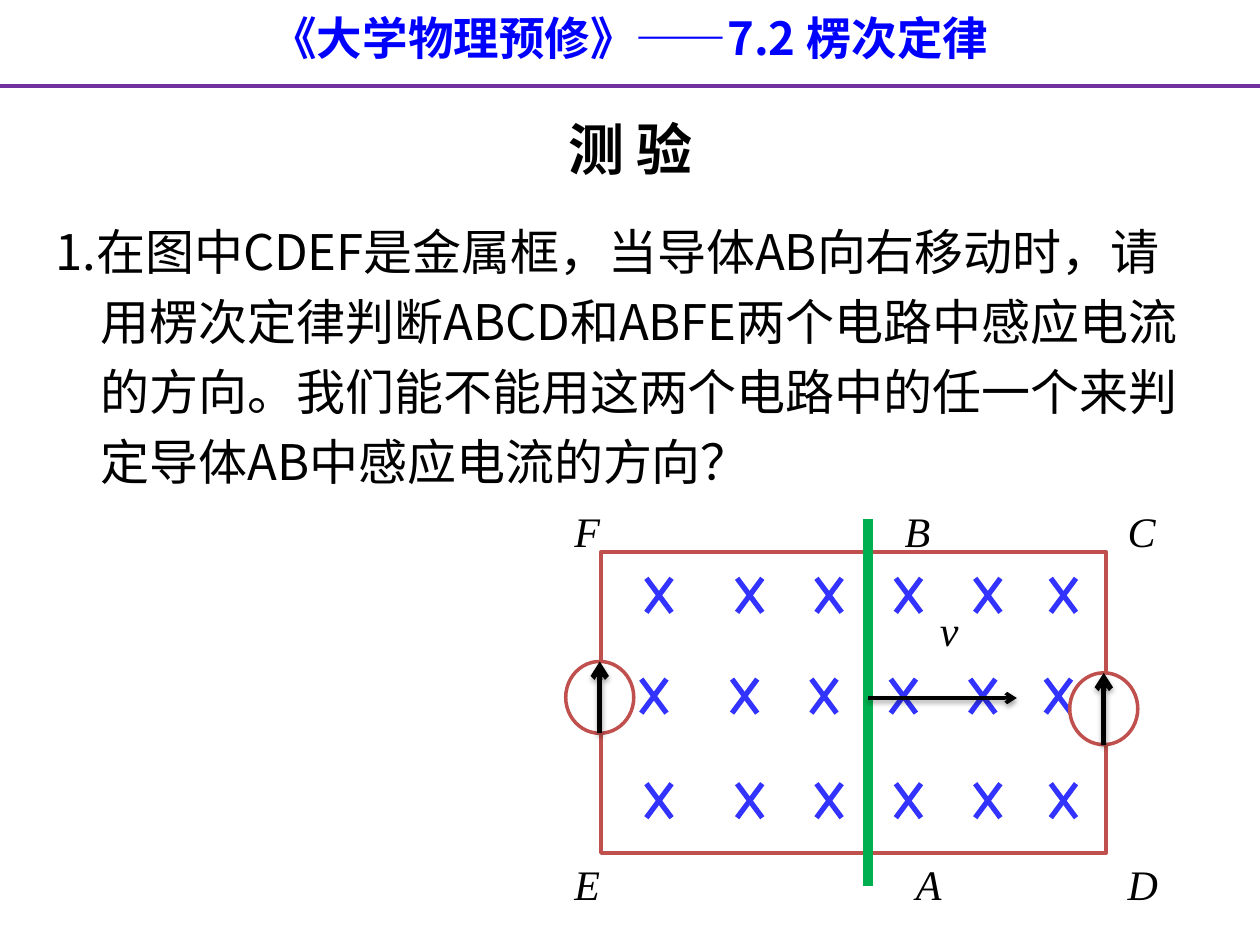
from lxml.etree import SubElement
from pptx import Presentation
from pptx.dml.color import RGBColor
from pptx.enum.shapes import MSO_CONNECTOR, MSO_SHAPE
from pptx.enum.text import MSO_ANCHOR, MSO_AUTO_SIZE, PP_ALIGN
from pptx.oxml.ns import qn
from pptx.util import Inches, Pt

# Content
HEADER = "《大学物理预修》——7.2 楞次定律"
TITLE = "测 验"
QUESTION = (
    "1.在图中CDEF是金属框，当导体AB向右移动时，请用楞次定律判断ABCD和ABFE两个电路中感应电流的方向。"
    "我们能不能用这两个电路中的任一个来判定导体AB中感应电流的方向？"
)
POINT_LABELS = [  # letter, left, top
    ("F", 4.56, 4.01), ("B", 7.18, 4.01), ("C", 8.95, 4.01),
    ("v", 7.46, 4.8),
    ("E", 4.56, 6.81), ("A", 7.27, 6.81), ("D", 8.95, 6.81),
]
CROSS_COLUMNS = [5.13, 5.85, 6.48, 7.11, 7.74, 8.34]
CROSS_ROWS = [(4.59, 0), (5.39, -0.04), (6.22, 0)]  # top, sideways shift
CROSS_WIDTH, CROSS_HEIGHT = 0.2, 0.27
METERS = [(4.49, 5.25), (8.49, 5.34)]
METER_WIDTH, METER_HEIGHT = 0.54, 0.57
BAR_X, VELOCITY_Y = 6.89, 5.54

SANS, SERIF = "Noto Sans CJK SC", "Times New Roman"
BLACK, BLUE, CROSS_BLUE = "000000", "0000FF", "3333FF"
PURPLE, RED, GREEN, WHITE = "7030A0", "C0504D", "00B050", "FFFFFF"

prs = Presentation()
prs.slide_width, prs.slide_height = Inches(10), Inches(7.5)
slide = prs.slides.add_slide(prs.slide_layouts[5])


def color(value):
    return RGBColor.from_string(value)


def place(shape, left, top, width, height):
    shape.left, shape.top = Inches(left), Inches(top)
    shape.width, shape.height = Inches(width), Inches(height)


def write(text, box, holder=None, size=24, font=SANS, fill=BLACK, bold=False,
          italic=False, align=PP_ALIGN.LEFT, inset=(0, 0), wrap=True,
          line_spacing=None, hanging=0, anchor=MSO_ANCHOR.TOP):
    """Put formatted text in a placeholder or in a new text box."""
    holder = holder or slide.shapes.add_textbox(0, 0, 0, 0)
    place(holder, *box)
    frame = holder.text_frame
    frame.word_wrap, frame.auto_size = wrap, MSO_AUTO_SIZE.NONE
    frame.vertical_anchor = anchor
    frame.margin_left = frame.margin_right = Inches(inset[0])
    frame.margin_top = frame.margin_bottom = Inches(inset[1])
    paragraph = frame.paragraphs[0]
    paragraph.alignment = align
    if line_spacing:
        paragraph.line_spacing = Pt(line_spacing)
    if hanging:
        properties = paragraph._p.get_or_add_pPr()
        properties.set("marL", str(Inches(hanging)))
        properties.set("indent", str(-Inches(hanging)))
    run = paragraph.add_run()
    run.text = text
    run.font.size, run.font.name = Pt(size), font
    run.font.bold, run.font.italic = bold, italic
    run.font.color.rgb = color(fill)
    SubElement(run._r.get_or_add_rPr(), qn("a:ea"), typeface=font)


def draw_line(start, end, stroke, width, arrow=False, shadow_alpha=35):
    ends = [Inches(value) for value in (*start, *end)]
    line = slide.shapes.add_connector(MSO_CONNECTOR.STRAIGHT, *ends)
    line.line.color.rgb, line.line.width = color(stroke), Pt(width)
    effects = SubElement(line._element.spPr, qn("a:effectLst"))
    if arrow:
        SubElement(line.line._get_or_add_ln(), qn("a:tailEnd"), type="arrow")
        shadow = SubElement(effects, qn("a:outerShdw"), blurRad=str(Pt(3.1)),
                            dist=str(Pt(1.8)), dir="5400000", rotWithShape="0")
        shade = SubElement(shadow, qn("a:srgbClr"), val=BLACK)
        SubElement(shade, qn("a:alpha"), val=str(shadow_alpha * 1000))


def draw_outline(kind, box, fill=None):
    shape = slide.shapes.add_shape(kind, 0, 0, 0, 0)
    place(shape, *box)
    shape.shadow.inherit = False
    shape.line.color.rgb, shape.line.width = color(RED), Pt(2)
    if fill:
        shape.fill.solid()
        shape.fill.fore_color.rgb = color(fill)
    else:
        shape.fill.background()


# Course header and rule
write(HEADER, (0, 0.08, 10, 0.54), size=26, fill=BLUE, bold=True,
      align=PP_ALIGN.CENTER)
draw_line((0, 0.68), (10, 0.68), PURPLE, 2.25)

# Title and question
write(TITLE, (4.06, 0.86, 1.89, 0.63), holder=slide.shapes.title, size=32,
      bold=True, align=PP_ALIGN.CENTER, inset=(0.09, 0.05),
      anchor=MSO_ANCHOR.MIDDLE)
write(QUESTION, (0.35, 1.62, 9.29, 2.34), size=28, inset=(0.09, 0.05),
      line_spacing=40, hanging=0.36)

# Magnetic field crosses
for top, shift in CROSS_ROWS:
    for column in CROSS_COLUMNS:
        left = column + shift
        right, bottom = left + CROSS_WIDTH, top + CROSS_HEIGHT
        draw_line((left, top), (right, bottom), CROSS_BLUE, 3)
        draw_line((right, top), (left, bottom), CROSS_BLUE, 3)

# Metal frame with its two meters
draw_outline(MSO_SHAPE.RECTANGLE, (4.77, 4.38, 4.01, 2.39))
for left, top in METERS:
    draw_outline(MSO_SHAPE.OVAL, (left, top, METER_WIDTH, METER_HEIGHT), WHITE)
    middle = left + METER_WIDTH / 2
    draw_line((middle, top + METER_HEIGHT), (middle, top), BLACK, 3, arrow=True)

# Moving conductor and its velocity
draw_line((BAR_X, 4.12), (BAR_X, 7.03), GREEN, 6)
draw_line((BAR_X, VELOCITY_Y), (8.07, VELOCITY_Y), BLACK, 2, arrow=True,
          shadow_alpha=38)

# Point labels
for letter, left, top in POINT_LABELS:
    write(letter, (left, top, 0.3, 0.38), font=SERIF, italic=True, wrap=False)

prs.save("out.pptx")
